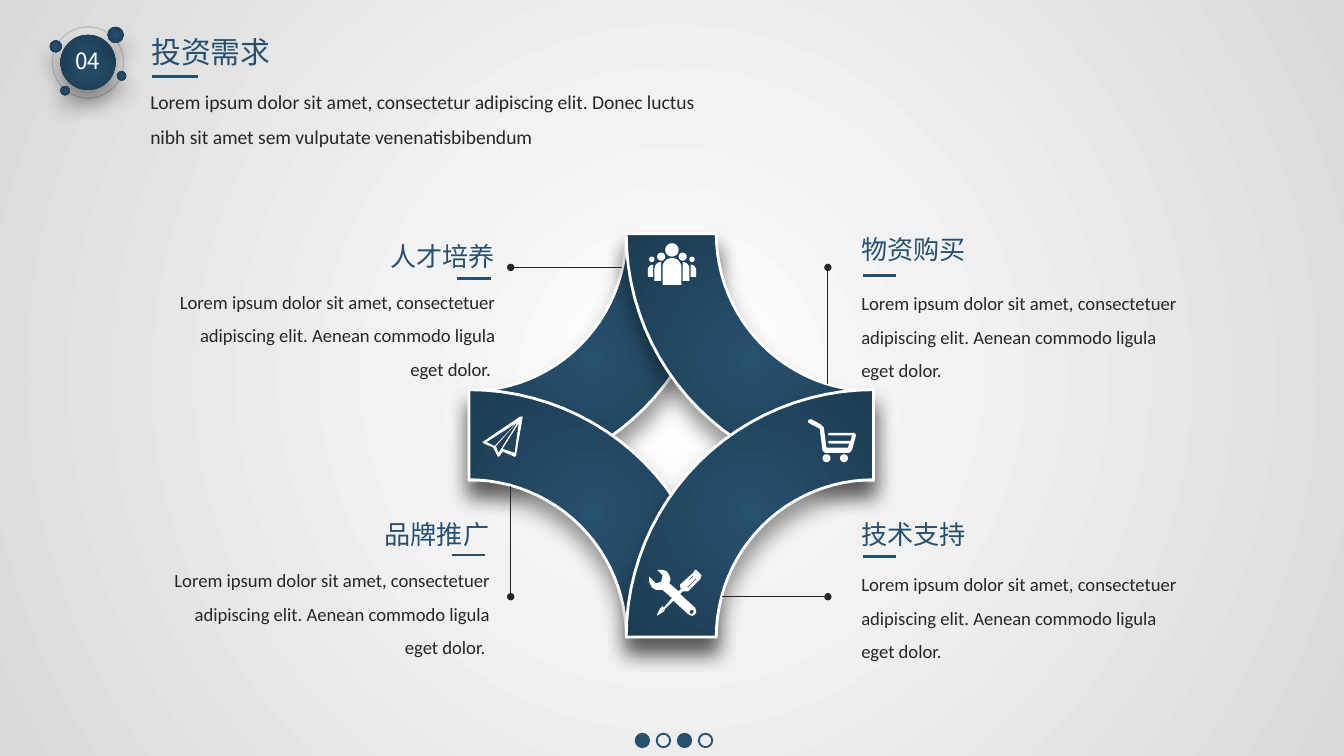
import math

import lxml.etree
import pptx
import pptx.dml.color
import pptx.enum.shapes
import pptx.enum.text
import pptx.oxml.ns
import pptx.util

Inches = pptx.util.Inches
Align = pptx.enum.text.PP_ALIGN
qn = pptx.oxml.ns.qn

NAVY, DEEP_NAVY, INK, WHITE = "27506E", "1D3C52", "262626", "FFFFFF"
NAVY_STOPS = [(0, NAVY), (100, DEEP_NAVY)]
CJK, LATIN = "Noto Sans CJK SC", "Calibri"
HEADING = {"size": 14, "name": CJK, "color": NAVY}
BODY = {"size": 10, "name": LATIN, "color": INK}
LOREM = ("Lorem ipsum dolor sit amet, consectetuer adipiscing elit. "
         "Aenean commodo ligula eget dolor.")

# heading, alignment, left, heading top, body top, rule left, rule y
TOPICS = [
    ("人才培养", Align.RIGHT, 1.19, 1.74, 2.03, 3.4, 2.07),
    ("物资购买", Align.LEFT, 6.31, 1.69, 2.04, 6.42, 2.05),
    ("品牌推广", Align.RIGHT, 1.15, 3.81, 4.1, 3.36, 4.13),
    ("技术支持", Align.LEFT, 6.31, 3.81, 4.13, 6.42, 4.14),
]
POINTERS = [(4.63, 1.99, 3.8, 1.99), (3.8, 3.62, 3.8, 4.44),
            (5.37, 4.44, 6.16, 4.44), (6.16, 2.86, 6.16, 1.99)]
# left, top, diameter
BADGE_DISCS = [(0.45, 0.26, 0.41), (0.8, 0.2, 0.12), (0.37, 0.3, 0.09),
               (0.45, 0.64, 0.07), (0.87, 0.53, 0.07)]

CART = [[
    (6.36, 3.22), (6.17, 3.22), (6.16, 3.23), (6.17, 3.24), (6.34, 3.24), (6.33, 3.28),
    (6.17, 3.28), (6.16, 3.29), (6.17, 3.3), (6.32, 3.3), (6.31, 3.33), (6.15, 3.33),
    (6.13, 3.18), (6.11, 3.16), (6.04, 3.12), (6.02, 3.12), (6.01, 3.14), (6.04, 3.16),
    (6.1, 3.19), (6.12, 3.35), (6.14, 3.37), (6.32, 3.37), (6.34, 3.35), (6.37, 3.24)]]
PLANE = [
    [(3.83, 3.37), (3.74, 3.34), (3.86, 3.15)],
    [(3.69, 3.32), (3.86, 3.13), (3.71, 3.37)],
    [(3.62, 3.29), (3.84, 3.15), (3.68, 3.32)],
    [(3.89, 3.1), (3.87, 3.1), (3.59, 3.29), (3.6, 3.3), (3.67, 3.33), (3.7, 3.39),
     (3.71, 3.4), (3.72, 3.39), (3.74, 3.36), (3.83, 3.4), (3.84, 3.39)]]
TOOLS = [
    [(5.22, 4.28), (5.18, 4.24), (5.17, 4.24), (5.16, 4.26), (5.06, 4.35), (5.06, 4.37),
     (5.07, 4.38), (5.05, 4.4), (4.98, 4.34), (4.99, 4.31), (4.98, 4.28), (4.96, 4.25),
     (4.93, 4.24), (4.89, 4.24), (4.93, 4.28), (4.92, 4.33), (4.88, 4.34), (4.83, 4.29),
     (4.83, 4.33), (4.85, 4.37), (4.88, 4.39), (4.93, 4.39), (5, 4.45), (4.94, 4.52),
     (4.93, 4.51), (4.91, 4.53), (4.89, 4.57), (4.89, 4.58), (4.94, 4.55), (4.95, 4.53),
     (5.01, 4.47), (5.12, 4.57), (5.14, 4.58), (5.16, 4.58), (5.18, 4.56), (5.18, 4.54),
     (5.17, 4.52), (5.06, 4.42), (5.08, 4.4), (5.12, 4.4), (5.21, 4.31)],
    [(5.14, 4.54), (5.16, 4.54), (5.16, 4.56), (5.14, 4.57), (5.13, 4.55)],
    [(5.09, 4.35), (5.16, 4.28), (5.16, 4.29)],
    [(5.12, 4.37), (5.11, 4.37), (5.18, 4.3), (5.18, 4.31)]]


def rgb(value):
    return pptx.dml.color.RGBColor.from_string(value)


def child(parent, tag, **attributes):
    element = lxml.etree.SubElement(parent, qn(tag))
    for name, value in attributes.items():
        element.set(name, str(value))
    return element


def radial_gradient(fill, holder, stops):
    """Fill from the centre outwards; holder is the XML element around the fill."""
    fill.gradient()
    gradient = holder.find(".//" + qn("a:gradFill"))
    for old in list(gradient):
        gradient.remove(old)
    stop_list = child(gradient, "a:gsLst")
    for position, color in stops:
        stop = child(stop_list, "a:gs", pos=position * 1000)
        child(stop, "a:srgbClr", val=color)
    centre = child(gradient, "a:path", path="circle")
    child(centre, "a:fillToRect", l=50000, t=50000, r=50000, b=50000)


def drop_shadow(shape):
    effects = shape._element.spPr.find(qn("a:effectLst"))
    shadow = child(effects, "a:outerShdw", blurRad=pptx.util.Pt(11),
                   dist=pptx.util.Pt(8), dir=5400000, algn="t", rotWithShape=0)
    child(child(shadow, "a:srgbClr", val="000000"), "a:alpha", val=40000)


def paint(shape, fill=None, line=None, width=1, raised=False):
    """Raised shapes get the navy gradient and a drop shadow."""
    shape.shadow.inherit = False
    if raised:
        radial_gradient(shape.fill, shape._element.spPr, NAVY_STOPS)
        drop_shadow(shape)
    elif fill:
        shape.fill.solid()
        shape.fill.fore_color.rgb = rgb(fill)
    else:
        shape.fill.background()
    if line:
        shape.line.color.rgb = rgb(line)
        shape.line.width = pptx.util.Pt(width)
    else:
        shape.line.fill.background()


def add_disc(slide, left, top, diameter, **style):
    disc = slide.shapes.add_shape(pptx.enum.shapes.MSO_SHAPE.OVAL, Inches(left),
                                  Inches(top), Inches(diameter), Inches(diameter))
    paint(disc, **style)


def add_outline(slide, contours, **style):
    scaled = [[(Inches(x), Inches(y)) for x, y in contour] for contour in contours]
    builder = slide.shapes.build_freeform(*scaled[0][0], scale=1.0)
    for index, contour in enumerate(scaled):
        if index:
            builder.move_to(*contour[0])
        builder.add_line_segments(contour[1:], close=True)
    paint(builder.convert_to_shape(), **style)


def add_line(slide, x1, y1, x2, y2, color, width, dot=False):
    line = slide.shapes.add_connector(pptx.enum.shapes.MSO_CONNECTOR.STRAIGHT,
                                      Inches(x1), Inches(y1), Inches(x2), Inches(y2))
    line.line.color.rgb = rgb(color)
    line.line.width = pptx.util.Pt(width)
    if dot:
        child(line._element.spPr.find(qn("a:ln")), "a:tailEnd", type="oval", w="sm", len="sm")
    child(line._element.spPr, "a:effectLst")


def write(box, text, style, align=Align.LEFT, wrap=False, spacing=1.0):
    frame = box.text_frame
    frame_format = {"word_wrap": wrap, "vertical_anchor": pptx.enum.text.MSO_ANCHOR.TOP,
                    "auto_size": pptx.enum.text.MSO_AUTO_SIZE.SHAPE_TO_FIT_TEXT}
    for name, value in frame_format.items():
        setattr(frame, name, value)
    para = frame.paragraphs[0]
    para.alignment = align
    para.line_spacing = spacing
    span = para.add_run()
    span.text = text
    span.font.size = pptx.util.Pt(style["size"])
    span.font.name = style["name"]
    span.font.color.rgb = rgb(style["color"])
    child(span._r.get_or_add_rPr(), "a:ea", typeface=style["name"])


def add_text(slide, left, top, width, height, *content, **options):
    box = slide.shapes.add_textbox(Inches(left), Inches(top), Inches(width), Inches(height))
    write(box, *content, **options)


def arc(x, y, radius, start, end, steps=24):
    angles = [math.radians(start + (end - start) * i / steps) for i in range(steps + 1)]
    return [(x + radius * math.cos(a), y + radius * math.sin(a)) for a in angles]


def people_contours():
    middle = 5
    contours = [arc(middle, 1.86, 0.05, 0, 360),
                arc(middle, 1.99, 0.07, 180, 360) + [(5.07, 2.12), (4.93, 2.12)]]
    # head x, head y, head radius, body left, body right, shoulder y, bottom
    for x, y, radius, left, right, shoulder, bottom in [
            (4.92, 1.91, 0.03, 4.87, 4.92, 2.0, 2.09),
            (4.85, 1.93, 0.02, 4.82, 4.86, 2.01, 2.06)]:
        body = arc(right, shoulder, right - left, 180, 270) + [(right, bottom), (left, bottom)]
        for contour in (arc(x, y, radius, 0, 360), body):
            contours += [contour, [(2 * middle - px, py) for px, py in contour]]
    return contours


def add_header(slide):
    add_disc(slide, 0.39, 0.2, 0.53, line="BFBFBF", width=0.75)
    for left, top, diameter in BADGE_DISCS:
        add_disc(slide, left, top, diameter, raised=True)
    title = slide.shapes.title
    for name, value in {"left": 1.02, "top": 0.2, "width": 1.1, "height": 0.37}.items():
        setattr(title, name, Inches(value))
    write(title, "投资需求", {**HEADING, "size": 16}, align=Align.CENTER)
    add_text(slide, 1.02, 0.53, 4.47, 0.6,
             "Lorem ipsum dolor sit amet, consectetur adipiscing elit. Donec luctus "
             "nibh sit amet sem vulputate venenatisbibendum",
             {**BODY, "size": 10.5}, wrap=True, spacing=1.5)
    add_line(slide, 1.13, 0.57, 1.47, 0.57, NAVY, 1.5)
    add_text(slide, 0.46, 0.3, 0.41, 0.3, "04", {"size": 12, "name": CJK, "color": WHITE})


def add_petals(slide):
    """Four quarter rings, each centred on a corner of the figure's square."""
    for x, y, start in [(3.49, 1.74, 0), (3.49, 4.74, 270), (6.5, 1.74, 90), (6.5, 4.74, 180)]:
        ring = arc(x, y, 1.84, start, start + 90) + arc(x, y, 1.17, start + 90, start)
        add_outline(slide, [ring], line=WHITE, width=1.5, raised=True)


def add_topic(slide, heading, align, left, heading_top, body_top, rule_left, rule_y):
    right_aligned = align == Align.RIGHT
    body = LOREM + " " if right_aligned else LOREM
    heading_left = left + 1.6 if right_aligned else left
    add_text(slide, left, body_top, 2.59, 0.86, body, BODY, align=align, wrap=True, spacing=1.5)
    add_text(slide, heading_left, heading_top, 0.99, 0.34, heading, HEADING, align=align)
    add_line(slide, rule_left, rule_y, rule_left + 0.25, rule_y, NAVY, 1.5)


def add_icons(slide):
    for contours in (people_contours(), CART, PLANE, TOOLS):
        add_outline(slide, contours, fill=WHITE)
    for left in (6.12, 6.25):
        add_disc(slide, left, 3.38, 0.06, fill=WHITE)


def main():
    deck = pptx.Presentation()
    deck.slide_width, deck.slide_height = Inches(10), Inches(10 * 9 / 16)
    slide = deck.slides.add_slide(deck.slide_layouts[5])
    radial_gradient(slide.background.fill, slide._element,
                    [(0, WHITE), (35, "F2F2F2"), (100, "D9D9D9")])
    add_header(slide)
    for index in range(4):
        add_disc(slide, 4.73 + 0.47 / 3 * index, 5.46, 0.1,
                 fill=None if index % 2 else NAVY, line=NAVY)
    add_petals(slide)
    for pointer in POINTERS:
        add_line(slide, *pointer, INK, 0.5, dot=True)
    for topic in TOPICS:
        add_topic(slide, *topic)
    add_icons(slide)
    deck.save("out.pptx")


if __name__ == "__main__":
    main()
